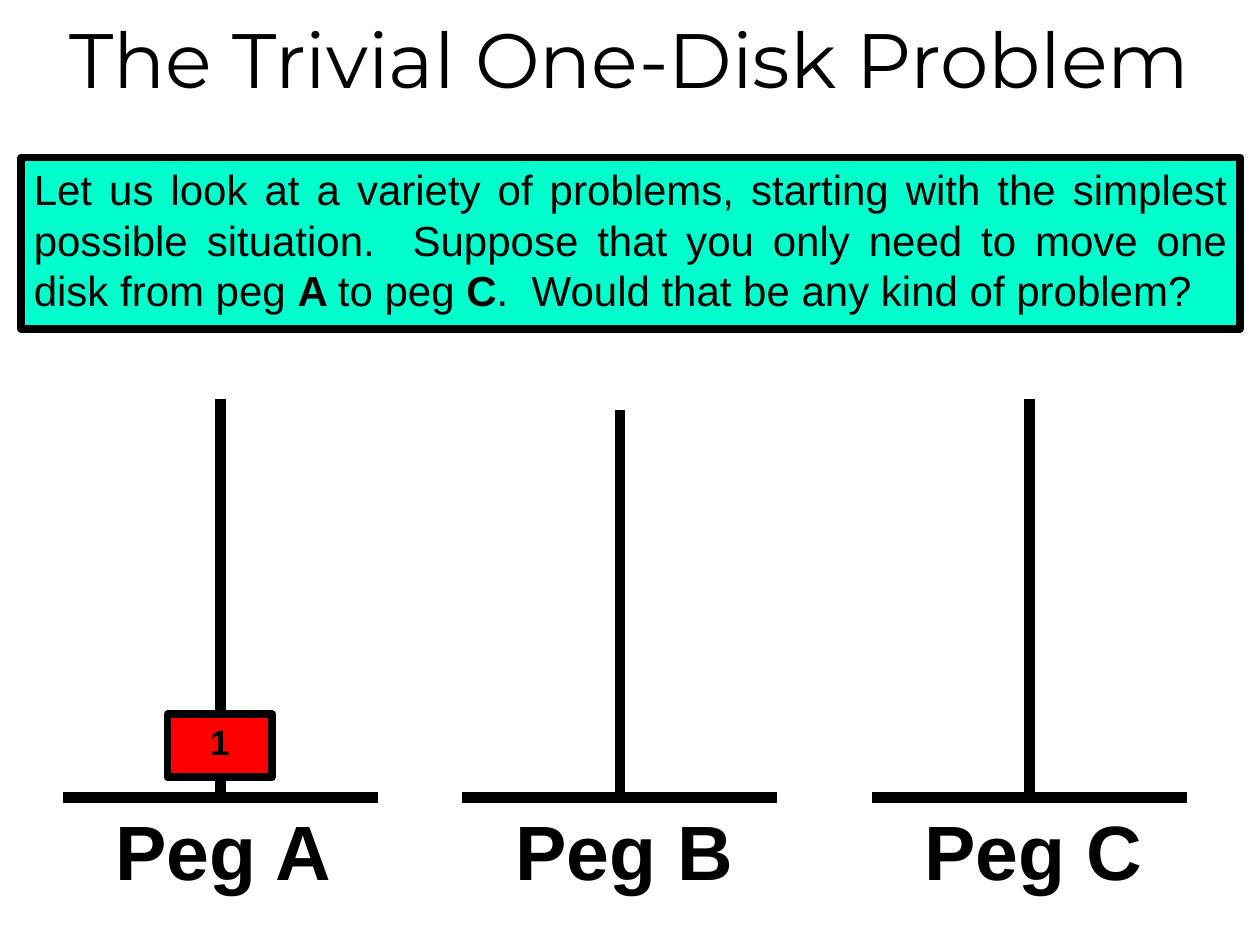
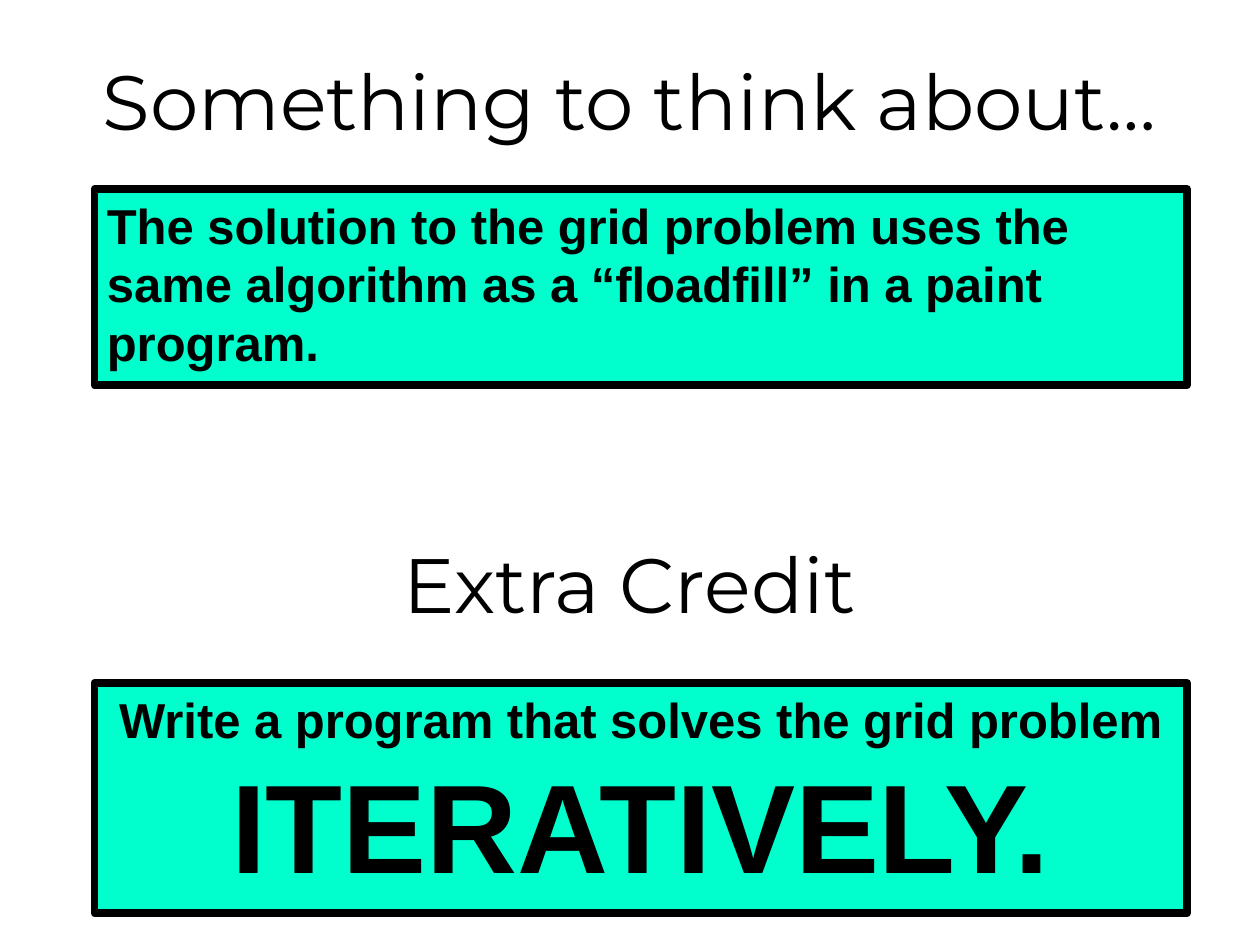
import dataclasses
import typing

import lxml.etree
import pptx
import pptx.dml.color
import pptx.enum.shapes
import pptx.enum.text
import pptx.oxml.ns
import pptx.util

Inches = pptx.util.Inches
Align = pptx.enum.text.PP_ALIGN
Anchor = pptx.enum.text.MSO_ANCHOR
Fit = pptx.enum.text.MSO_AUTO_SIZE


@dataclasses.dataclass(frozen=True)
class Theme:
    ink: str = "000000"
    mint: str = "00FFCC"
    red: str = "FF0000"
    head: str = "Montserrat"
    body: str = "Arial"
    title: int = 44
    intro: int = 24
    note: int = 28
    disk: int = 20
    peg: int = 44
    shout: int = 72
    edge: float = 4.5
    pole: float = 6


class Area(typing.NamedTuple):
    left: float
    top: float
    width: float
    height: float

    def emu(self) -> list[int]:
        return [Inches(side) for side in self]


class Peg(typing.NamedTuple):
    name: str
    mid: float
    top: float


THEME = Theme()
BASE = 6.33
HALF = 1.25
PEGS = [Peg("A", 1.75, 3.17), Peg("B", 4.92, 3.25), Peg("C", 8.17, 3.17)]


def color(code: str) -> pptx.dml.color.RGBColor:
    return pptx.dml.color.RGBColor.from_string(code)


def write(frame, text: str, *, size: float, font: str = THEME.body,
          bold: bool = False, align=Align.LEFT) -> None:
    para = frame.add_paragraph() if frame.text else frame.paragraphs[0]
    para.alignment = align
    for index, part in enumerate(text.split("**")):
        run = para.add_run()
        run.text = part
        run.font.name = font
        run.font.size = pptx.util.Pt(size)
        run.font.bold = bold or index % 2 == 1
        run.font.color.rgb = color(THEME.ink)


def head(shape, text: str, area: Area) -> None:
    shape.left, shape.top, shape.width, shape.height = area.emu()
    frame = shape.text_frame
    frame.word_wrap = True
    frame.auto_size = Fit.NONE
    frame.vertical_anchor = Anchor.MIDDLE
    write(frame, text, size=THEME.title, font=THEME.head, align=Align.CENTER)


def start(deck, text: str, top: float):
    slide = deck.slides.add_slide(deck.slide_layouts[5])
    head(slide.shapes.title, text, Area(0, top, 10, 1.25))
    return slide


def panel(shapes, area: Area, fill: str = THEME.mint):
    kind = pptx.enum.shapes.MSO_SHAPE.RECTANGLE
    shape = shapes.add_shape(kind, *area.emu())
    shape.shadow.inherit = False
    shape.fill.solid()
    shape.fill.fore_color.rgb = color(fill)
    shape.line.color.rgb = color(THEME.ink)
    shape.line.width = pptx.util.Pt(THEME.edge)
    frame = shape.text_frame
    frame.word_wrap = True
    frame.auto_size = Fit.SHAPE_TO_FIT_TEXT
    frame.vertical_anchor = Anchor.TOP
    return frame


def rod(shapes, *ends: float) -> None:
    kind = pptx.enum.shapes.MSO_CONNECTOR.STRAIGHT
    line = shapes.add_connector(kind, *[Inches(end) for end in ends])
    line.line.color.rgb = color(THEME.ink)
    line.line.width = pptx.util.Pt(THEME.pole)
    props = line.element.find(pptx.oxml.ns.qn("p:spPr"))
    lxml.etree.SubElement(props, pptx.oxml.ns.qn("a:effectLst"))


def stand(slide, peg: Peg) -> None:
    shapes = slide.shapes.add_group_shape().shapes
    rod(shapes, peg.mid - HALF, BASE, peg.mid + HALF, BASE)
    rod(shapes, peg.mid, BASE, peg.mid, peg.top)
    area = Area(peg.mid - 0.93, BASE, 1.93, 0.83)
    frame = shapes.add_textbox(*area.emu()).text_frame
    frame.word_wrap = False
    frame.auto_size = Fit.SHAPE_TO_FIT_TEXT
    write(frame, f"Peg {peg.name}", size=THEME.peg, bold=True)


def puzzle(deck) -> None:
    slide = start(deck, "The Trivial One-Disk Problem", -0.17)
    intro = panel(slide.shapes, Area(0.17, 1.25, 9.67, 1.36))
    write(intro, "Let us look at a variety of problems, starting with the "
          "simplest possible situation.  Suppose that you only need to move "
          "one disk from peg **A **to peg **C**.  Would that be any kind of "
          "problem?", size=THEME.intro, align=Align.JUSTIFY)
    for peg in PEGS:
        stand(slide, peg)
    disk = panel(slide.shapes, Area(1.33, 5.67, 0.83, 0.5), THEME.red)
    write(disk, "1", size=THEME.disk, bold=True, align=Align.CENTER)


def credit(deck) -> None:
    slide = start(deck, "Something to think about…", 0.17)
    hint = panel(slide.shapes, Area(0.75, 1.5, 8.67, 1.56))
    write(hint, "The solution to the grid problem uses the same algorithm as "
          "a “floadfill” in a paint program.", size=THEME.note, bold=True)
    area = Area(0, 4, 10, 1.25)
    head(slide.shapes.add_textbox(*area.emu()), "Extra Credit", area)
    task = panel(slide.shapes, Area(0.75, 5.42, 8.67, 1.83))
    write(task, "Write a program that solves the grid problem",
          size=THEME.note, bold=True, align=Align.CENTER)
    write(task, "ITERATIVELY.", size=THEME.shout, bold=True,
          align=Align.CENTER)


def main() -> None:
    deck = pptx.Presentation()
    deck.slide_width, deck.slide_height = Inches(10), Inches(7.5)
    puzzle(deck)
    credit(deck)
    deck.save("out.pptx")


if __name__ == "__main__":
    main()
